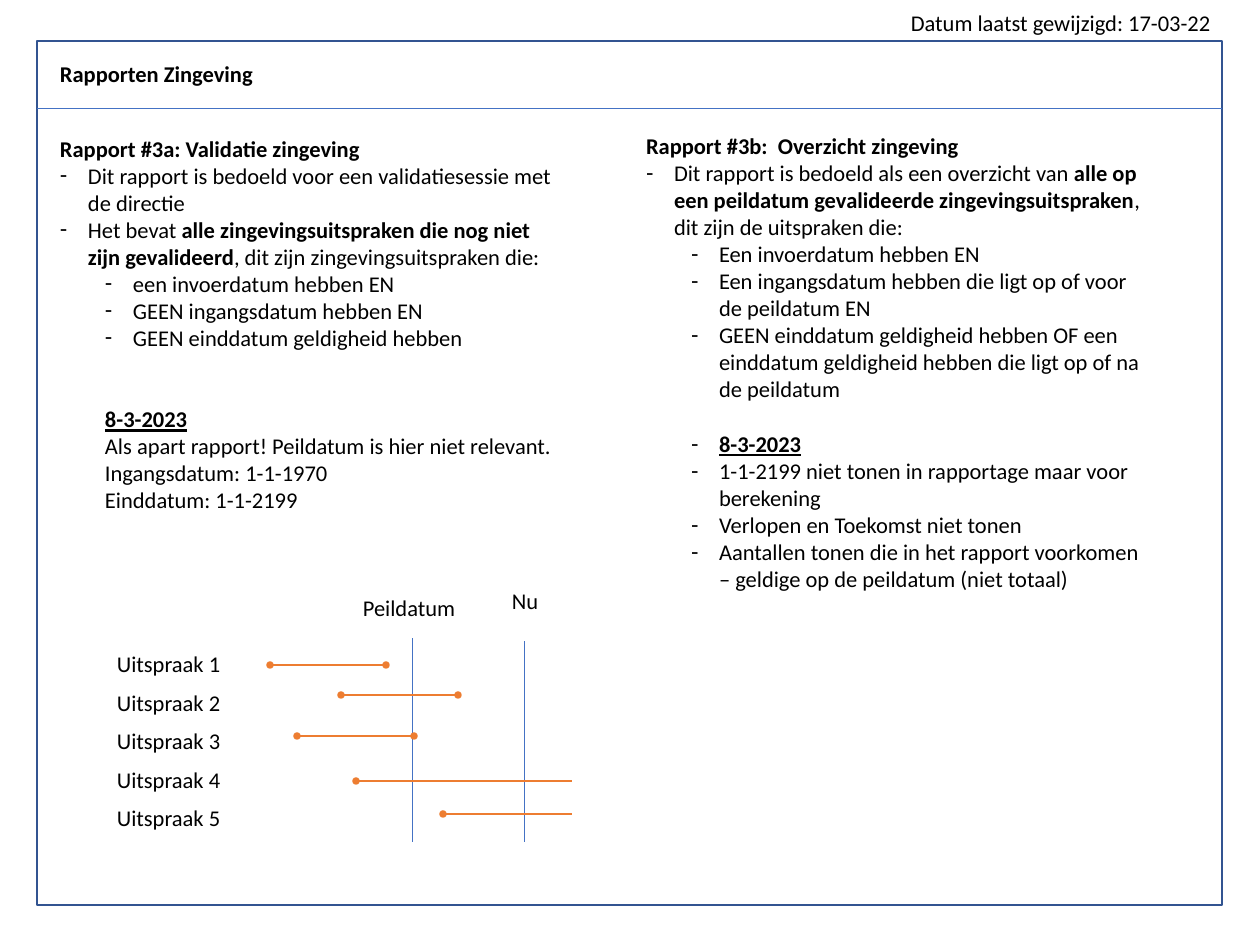
from dataclasses import dataclass

from lxml.etree import SubElement
from pptx import Presentation
from pptx.dml.color import RGBColor
from pptx.enum.shapes import MSO_CONNECTOR, MSO_SHAPE
from pptx.enum.text import MSO_ANCHOR, MSO_AUTO_SIZE, PP_ALIGN
from pptx.oxml.ns import qn
from pptx.util import Pt

PX = 914400 // 90
LINE_HEIGHT = 22  # points taken by one line of 18 pt text
HANGING = 28

FRAME = (37, 41, 1185, 864)
BLACK, DARK_BLUE, BLUE, ORANGE = "000000", "325491", "4472C4", "ED7D31"


@dataclass
class Item:
    text: str
    level: int = 0
    bullet: str = "-"
    underline: bool = False
    gap_lines: int = 0


VALIDATION = [
    Item("**Rapport #3a: Validatie zingeving**", bullet=""),
    Item("Dit rapport is bedoeld voor een validatiesessie met de directie"),
    Item("Het bevat **alle zingevingsuitspraken die nog niet zijn gevalideerd**"
         ", dit zijn zingevingsuitspraken die:"),
    Item("een invoerdatum hebben EN", 1),
    Item("GEEN ingangsdatum hebben EN", 1),
    Item("GEEN einddatum geldigheid hebben", 1),
    Item("**8-3-2023**", 1, "", underline=True, gap_lines=2),
    Item("Als apart rapport! Peildatum is hier niet relevant.", 1, ""),
    Item("Ingangsdatum: 1-1-1970", 1, ""),
    Item("Einddatum: 1-1-2199", 1, ""),
]

OVERVIEW = [
    Item("**Rapport #3b:  Overzicht zingeving**", bullet=""),
    Item("Dit rapport is bedoeld als een overzicht van **alle op een peildatum "
         "gevalideerde zingevingsuitspraken**, dit zijn de uitspraken die:"),
    Item("Een invoerdatum hebben EN", 1),
    Item("Een ingangsdatum hebben die ligt op of voor de peildatum EN", 1),
    Item("GEEN einddatum geldigheid hebben OF een einddatum geldigheid hebben "
         "die ligt op of na de peildatum", 1),
    Item("**8-3-2023**", 1, underline=True, gap_lines=1),
    Item("1-1-2199 niet tonen in rapportage maar voor berekening", 1),
    Item("Verlopen en Toekomst niet tonen", 1),
    Item("Aantallen tonen die in het rapport voorkomen – geldige op de "
         "peildatum (niet totaal)", 1),
]

# start, end, height, and whether the period has ended
PERIODS = [
    (270, 386, 665, True),
    (341, 458, 695, True),
    (297, 414, 736, True),
    (356, 572, 781, False),
    (443, 572, 814, False),
]

# name, label left, label top, line x, line top
MOMENTS = [("Peildatum", 354, 590, 412, 638), ("Nu", 503, 583, 524, 641)]


def color(value):
    return RGBColor.from_string(value)


def write_text(paragraph, text, *, font="Calibri", size=18, fill=BLACK,
               underline=False, space_before=0):
    """Write text in which **double asterisks** mark the bold parts."""
    paragraph.alignment = PP_ALIGN.LEFT
    paragraph.line_spacing = 1.0
    paragraph.space_before = Pt(space_before)
    for index, part in enumerate(text.split("**")):
        if part:
            run = paragraph.add_run()
            run.text = part
            run.font.name = font
            run.font.size = Pt(size)
            run.font.bold = index % 2 == 1
            run.font.underline = underline
            run.font.color.rgb = color(fill)


def set_bullet(paragraph, character, level):
    properties = paragraph._p.get_or_add_pPr()
    hanging = HANGING if character else 0
    properties.set("marL", str((level * 45 + hanging) * PX))
    properties.set("indent", str(-hanging * PX))
    if character:
        SubElement(properties, qn("a:buChar")).set("char", character)
    else:
        SubElement(properties, qn("a:buNone"))


class SlideBuilder:
    def __init__(self, slide):
        self.slide = slide

    def place(self, shape, left, top, width, height):
        shape.left, shape.top = left * PX, top * PX
        shape.width, shape.height = width * PX, height * PX
        frame = shape.text_frame
        frame.auto_size = MSO_AUTO_SIZE.NONE
        frame.vertical_anchor = MSO_ANCHOR.TOP
        frame.word_wrap = True
        return frame

    def title(self, text, *box):
        frame = self.place(self.slide.shapes.title, *box)
        write_text(frame.paragraphs[0], f"**{text}**")

    def body(self, index, items, *box):
        frame = self.place(self.slide.placeholders[index], *box)
        for number, item in enumerate(items):
            paragraph = frame.add_paragraph() if number else frame.paragraphs[0]
            paragraph.level = item.level
            set_bullet(paragraph, item.bullet, item.level)
            write_text(paragraph, item.text, underline=item.underline,
                       space_before=item.gap_lines * LINE_HEIGHT)

    def label(self, text, left, top, width=140):
        box = self.slide.shapes.add_textbox(0, 0, 0, 0)
        frame = self.place(box, left, top, width, 36)
        write_text(frame.paragraphs[0], text)

    def frame(self, left, top, width, height):
        shape = self.slide.shapes.add_shape(
            MSO_SHAPE.RECTANGLE, left * PX, top * PX, width * PX, height * PX)
        shape.shadow.inherit = False
        shape.fill.background()
        shape.line.color.rgb = color(DARK_BLUE)
        shape.line.width = Pt(1)

    def line(self, x1, y1, x2, y2, stroke=BLUE, width=0.5, dots=()):
        """Draw a line; dots names the ends (headEnd, tailEnd) with a dot."""
        connector = self.slide.shapes.add_connector(
            MSO_CONNECTOR.STRAIGHT, x1 * PX, y1 * PX, x2 * PX, y2 * PX)
        connector.line.color.rgb = color(stroke)
        connector.line.width = Pt(width)
        outline = connector.line._get_or_add_ln()
        for end in dots:
            SubElement(outline, qn(f"a:{end}")).set("type", "oval")
        SubElement(connector._element.spPr, qn("a:effectLst"))

    def period(self, start, end, y, ended):
        dots = ("headEnd", "tailEnd") if ended else ("headEnd",)
        self.line(start, y, end, y, ORANGE, 1.75, dots)


def main():
    presentation = Presentation()
    presentation.slide_width = 1260 * PX
    presentation.slide_height = 945 * PX
    two_content = presentation.slide_layouts[3]
    builder = SlideBuilder(presentation.slides.add_slide(two_content))

    left, top, width, height = FRAME
    builder.frame(left, top, width, height)
    builder.line(left, 108, left + width, 108)
    builder.title("Rapporten Zingeving", 51, 56, 212, 36)
    builder.label("Datum laatst gewijzigd: 17-03-22", 902, 5, 330)
    builder.body(1, VALIDATION, 51, 130, 520, 418)
    builder.body(2, OVERVIEW, 637, 128, 520, 473)

    for name, label_left, label_top, x, line_top in MOMENTS:
        builder.label(name, label_left, label_top)
        builder.line(x, 842, x, line_top)
    for index, period in enumerate(PERIODS):
        builder.label(f"Uitspraak {index + 1}", 108, 646 + round(38.6 * index))
        builder.period(*period)

    presentation.save("out.pptx")


if __name__ == "__main__":
    main()
